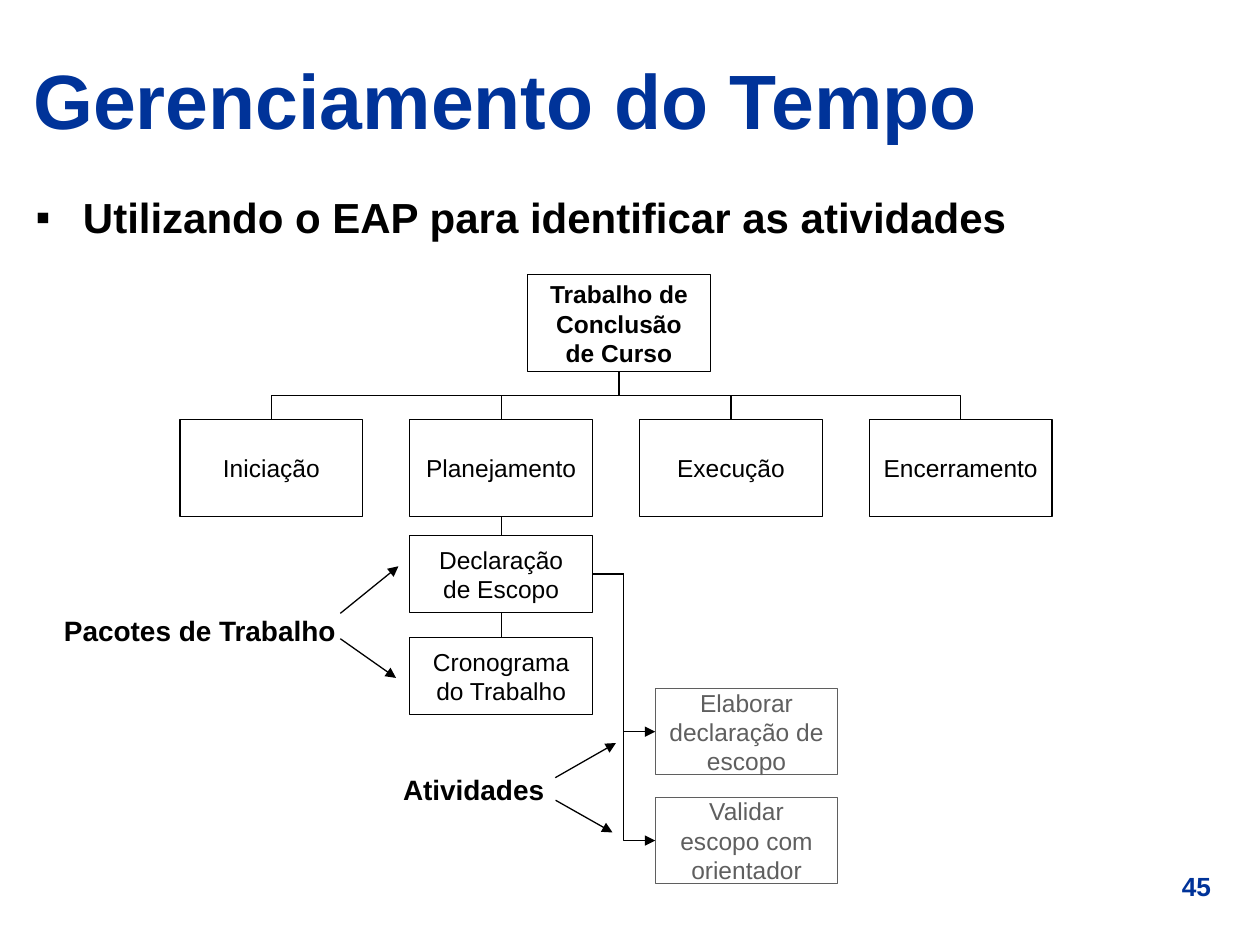
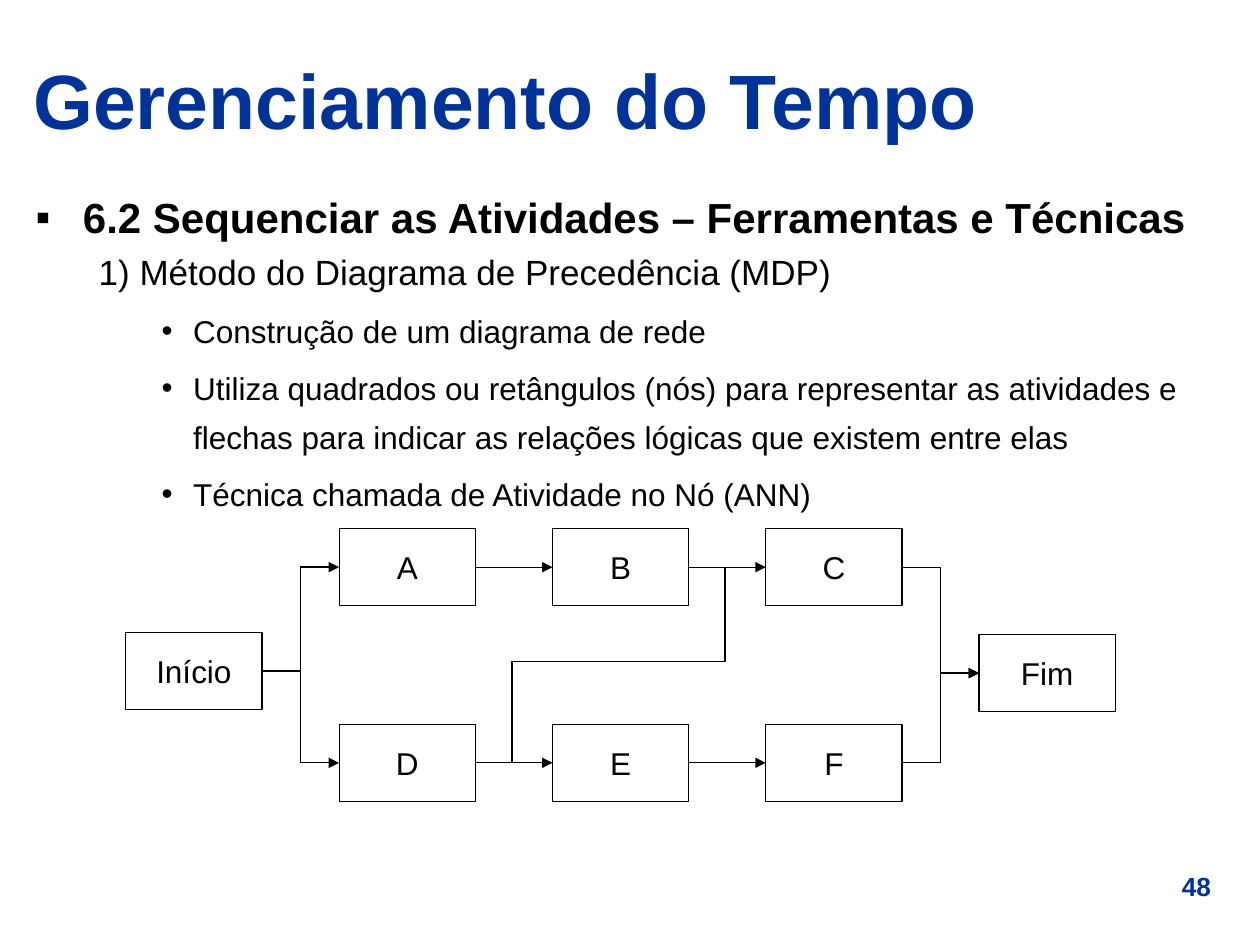
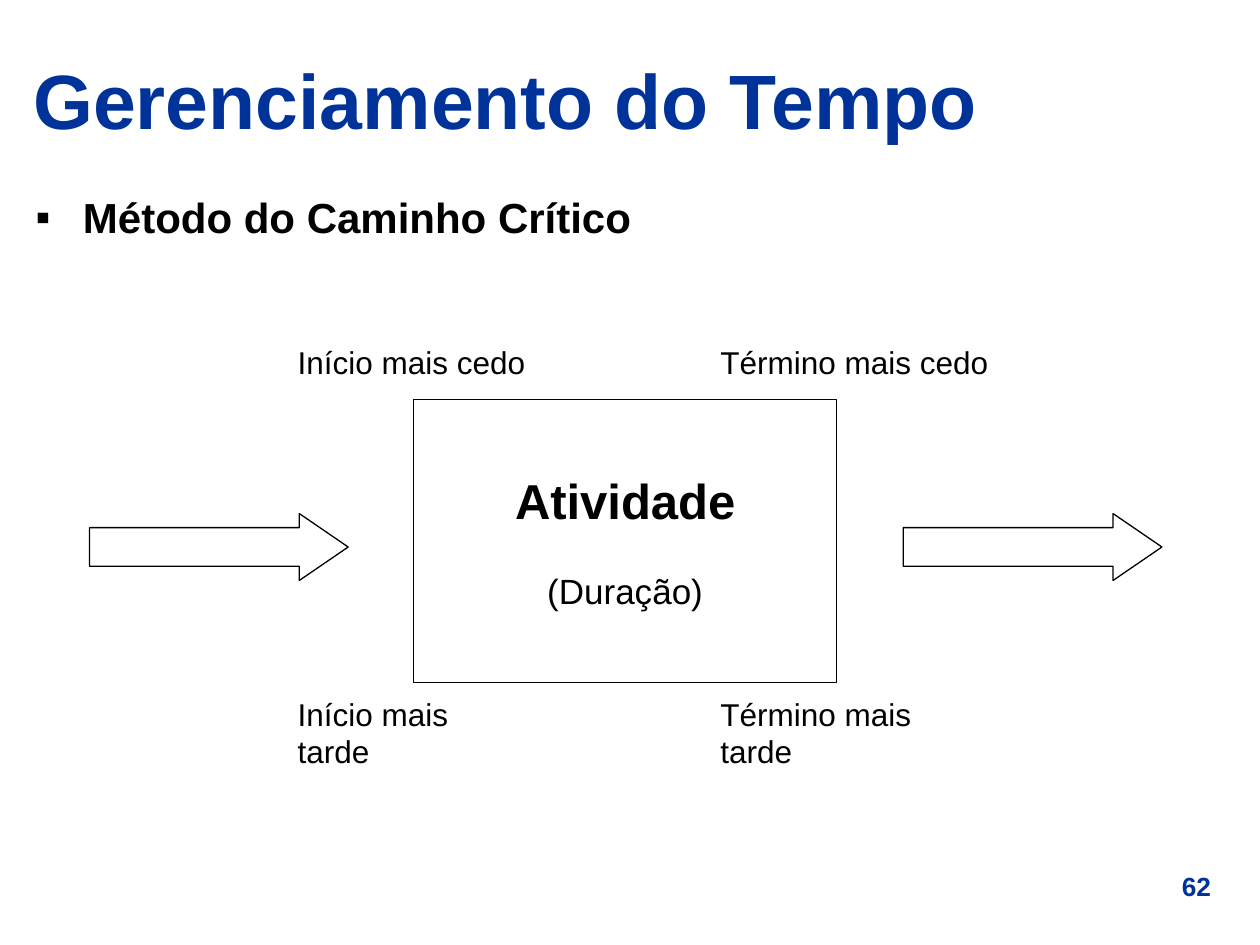
from dataclasses import dataclass

import pptx
import pptx.dml.color
import pptx.enum.shapes
import pptx.enum.text
import pptx.oxml.ns
import pptx.util
from lxml import etree

Pt = pptx.util.Pt
qn = pptx.oxml.ns.qn
SHAPE = pptx.enum.shapes.MSO_SHAPE
CONNECTOR = pptx.enum.shapes.MSO_CONNECTOR
CENTER = pptx.enum.text.PP_ALIGN.CENTER
MIDDLE = pptx.enum.text.MSO_ANCHOR.MIDDLE
TOP = pptx.enum.text.MSO_ANCHOR.TOP


@dataclass(frozen=True)
class Theme:
    font: str = "Arial"
    blue: str = "003399"
    black: str = "000000"
    white: str = "FFFFFF"
    gray: str = "5F5F5F"
    title: int = 44
    heading: int = 24
    activity: int = 28
    item: int = 20
    body: int = 18
    label: int = 16
    number: int = 15
    box: int = 14
    line: float = 0.75


@dataclass(frozen=True)
class Level:
    size: int
    left: float
    hang: float
    before: float
    spacing: float = 1.0
    bullet: str = ""
    bold: bool = False


T = Theme()
HEADING = Level(T.heading, 27, 27, 6, bullet="▪", bold=True)
ITEM = Level(T.item, 58.5, 22.5, 5)
DETAIL = Level(T.body, 90, 18, 4.5, spacing=1.3, bullet="•")


def rgb(color):
    return pptx.dml.color.RGBColor.from_string(color)


def add_run(p, text, size, color=T.black, bold=False):
    r = p.add_run()
    r.text = text
    r.font.name = T.font
    r.font.size = Pt(size)
    r.font.bold = bold
    r.font.color.rgb = rgb(color)


def text_box(s, left, top, width, height, wrap=True, anchor=TOP):
    tf = s.shapes.add_textbox(Pt(left), Pt(top), Pt(width), Pt(height)).text_frame
    tf.word_wrap = wrap
    tf.vertical_anchor = anchor
    return tf


def add_label(s, text, left, top, width, size, bold=False):
    tf = text_box(s, left, top, width, 28, wrap=False)
    add_run(tf.paragraphs[0], text, size, bold=bold)


def set_level(p, level):
    pPr = p._p.get_or_add_pPr()
    pPr.set("marL", str(Pt(level.left)))
    pPr.set("indent", str(-Pt(level.hang)))
    if level.bullet:
        etree.SubElement(pPr, qn("a:buFont"), typeface=T.font)
        etree.SubElement(pPr, qn("a:buChar"), char=level.bullet)
    else:
        etree.SubElement(pPr, qn("a:buNone"))
    p.line_spacing = level.spacing


def add_slide(prs, number, *body):
    """Add a slide with the shared title and number, and body lines as (level, text)."""
    s = prs.slides.add_slide(prs.slide_layouts[6])
    p = text_box(s, 655.2, 494, 57, 25).paragraphs[0]
    p.alignment = CENTER
    add_run(p, str(number), T.number, T.blue, True)
    title = text_box(s, 13, 20.2, 692.6, 72.7, anchor=MIDDLE)
    add_run(title.paragraphs[0], "Gerenciamento do Tempo", T.title, T.blue, True)

    tf = text_box(s, 14.4, 105.8, 692, 402.5)
    tf.margin_left = tf.margin_right = title.margin_left = Pt(6)
    for i, (level, text) in enumerate(body):
        p = tf.add_paragraph() if i else tf.paragraphs[0]
        set_level(p, level)
        if i:
            p.space_before = Pt(level.before)
        add_run(p, text, level.size, bold=level.bold)
    return s


def add_outlined(s, kind, left, top, width, height, color=T.black):
    sp = s.shapes.add_shape(kind, Pt(left), Pt(top), Pt(width), Pt(height))
    sp.shadow.inherit = False
    sp.fill.solid()
    sp.fill.fore_color.rgb = rgb(T.white)
    sp.line.color.rgb = rgb(color)
    sp.line.width = Pt(T.line)
    return sp


def add_box(s, text, left, top, width, height, size=T.box, color=T.black,
            bold=False, wrap=True):
    sp = add_outlined(s, SHAPE.RECTANGLE, left, top, width, height, color)
    tf = sp.text_frame
    tf.word_wrap = wrap
    tf.vertical_anchor = MIDDLE
    tf.paragraphs[0].alignment = CENTER
    add_run(tf.paragraphs[0], text, size, color, bold)
    return sp


def left_of(sp):
    return sp.left, sp.top + sp.height // 2


def right_of(sp):
    return sp.left + sp.width, sp.top + sp.height // 2


def top_of(sp):
    return sp.left + sp.width // 2, sp.top


def bottom_of(sp):
    return sp.left + sp.width // 2, sp.top + sp.height


def connect(s, start, end, kind=CONNECTOR.STRAIGHT, arrow=True):
    c = s.shapes.add_connector(kind, *start, *end)
    c.line.color.rgb = rgb(T.black)
    c.line.width = Pt(T.line)
    if arrow:
        etree.SubElement(c.line._get_or_add_ln(), qn("a:tailEnd"), type="triangle")
    etree.SubElement(c._element.spPr, qn("a:effectLst"))
    return c


def connect_down(s, start, end):
    """Join two points by an elbow that leaves and arrives vertically."""
    (x1, y1), (x2, y2) = start, end
    mid_x, mid_y = (x1 + x2) // 2, (y1 + y2) // 2
    half_w, half_h = (y2 - y1) // 2, (x1 - x2) // 2
    c = connect(s, (mid_x - half_w, mid_y - half_h), (mid_x + half_w, mid_y + half_h),
                CONNECTOR.ELBOW, arrow=False)
    c._element.spPr.find(qn("a:xfrm")).set("rot", "5400000")


def pointer(s, x1, y1, x2, y2):
    connect(s, (Pt(x1), Pt(y1)), (Pt(x2), Pt(y2)))


def build_breakdown(prs):
    s = add_slide(prs, 45, (HEADING, "Utilizando o EAP para identificar as atividades"))
    width, height = 104.4, 55.4
    root = add_box(s, "Trabalho de Conclusão de Curso", 301.5, 157, width, height, bold=True)
    names = ["Iniciação", "Planejamento", "Execução", "Encerramento"]
    phases = [add_box(s, name, 102.9 + 131.3 * i, 239.8, width, height)
              for i, name in enumerate(names)]
    for phase in phases:
        connect_down(s, bottom_of(root), top_of(phase))

    planning = phases[1]
    scope = add_box(s, "Declaração de Escopo", 234.2, 306, width, 44)
    schedule = add_box(s, "Cronograma do Trabalho", 234.2, 364.3, width, 44)
    for upper, lower in ((planning, scope), (scope, schedule)):
        connect(s, bottom_of(upper), top_of(lower), arrow=False)

    for i, name in enumerate(["Elaborar declaração de escopo",
                              "Validar escopo com orientador"]):
        activity = add_box(s, name, 374.4, 393.6 + 62.2 * i, width, 49, color=T.gray)
        connect(s, right_of(scope), left_of(activity), CONNECTOR.ELBOW)

    add_label(s, "Pacotes de Trabalho", 29.5, 347, 170.6, T.label, True)
    pointer(s, 194.5, 350.5, 227.7, 323.6)
    pointer(s, 194.5, 365, 226.3, 387.4)
    add_label(s, "Atividades", 223.2, 437.8, 95, T.label, True)
    pointer(s, 317.5, 457.3, 350, 475.7)
    pointer(s, 317.3, 444.4, 352, 424.6)


def build_network(prs):
    s = add_slide(
        prs, 48,
        (HEADING, "6.2 Sequenciar as Atividades – Ferramentas e Técnicas"),
        (ITEM, "1) Método do Diagrama de Precedência (MDP)"),
        (DETAIL, "Construção de um diagrama de rede"),
        (DETAIL, "Utiliza quadrados ou retângulos (nós) para representar as atividades "
                 "e flechas para indicar as relações lógicas que existem entre elas"),
        (DETAIL, "Técnica chamada de Atividade no Nó (ANN)"))

    def node(name, column, top):
        return add_box(s, name, 71.9 + 121.9 * column, top, 77.8, 44.2, T.body, wrap=False)

    start, finish = node("Início", 0, 361.4), node("Fim", 4, 362.6)
    rows = [[node(name, i, top) for i, name in enumerate(names, 1)]
            for names, top in (("ABC", 302), ("DEF", 413.8))]
    for row in rows:
        connect(s, right_of(start), left_of(row[0]), CONNECTOR.ELBOW)
        for before, after in zip(row, row[1:]):
            connect(s, right_of(before), left_of(after))
        connect(s, right_of(row[-1]), left_of(finish), CONNECTOR.ELBOW)

    (x1, y1), (x2, y2) = right_of(rows[1][0]), left_of(rows[0][2])
    turn1, turn2, mid = x1 + Pt(21), x2 - Pt(23.3), Pt(378.2)
    builder = s.shapes.build_freeform(x1, y1, scale=1.0)
    builder.add_line_segments(
        [(turn1, y1), (turn1, mid), (turn2, mid), (turn2, y2), (x2, y2)], close=False)
    link = builder.convert_to_shape()
    link.shadow.inherit = False
    link.fill.background()
    link.line.color.rgb = rgb(T.black)
    link.line.width = Pt(T.line)


def build_critical_path(prs):
    s = add_slide(prs, 62, (HEADING, "Método do Caminho Crítico"))
    activity = add_box(s, "Atividade", 236.2, 228.2, 242, 162, T.activity,
                       bold=True, wrap=False)
    p = activity.text_frame.add_paragraph()
    p.alignment = CENTER
    p.space_before = Pt(23)
    add_run(p, "(Duração)", T.item)

    for left in (51.2, 516.2):
        arrow = add_outlined(s, SHAPE.RIGHT_ARROW, left, 293.5, 147.8, 38.2)
        arrow.adjustments[0] = 0.58
        arrow.adjustments[1] = 0.73

    for left, width, name in ((163, 145, "Início"), (404.6, 168, "Término")):
        for top, moment in ((192.6, "cedo"), (393.4, "tarde")):
            add_label(s, f"{name} mais {moment}", left, top, width, T.body)


def main():
    prs = pptx.Presentation()
    prs.slide_width, prs.slide_height = Pt(720), Pt(540)
    build_breakdown(prs)
    build_network(prs)
    build_critical_path(prs)
    prs.save("out.pptx")


if __name__ == "__main__":
    main()
